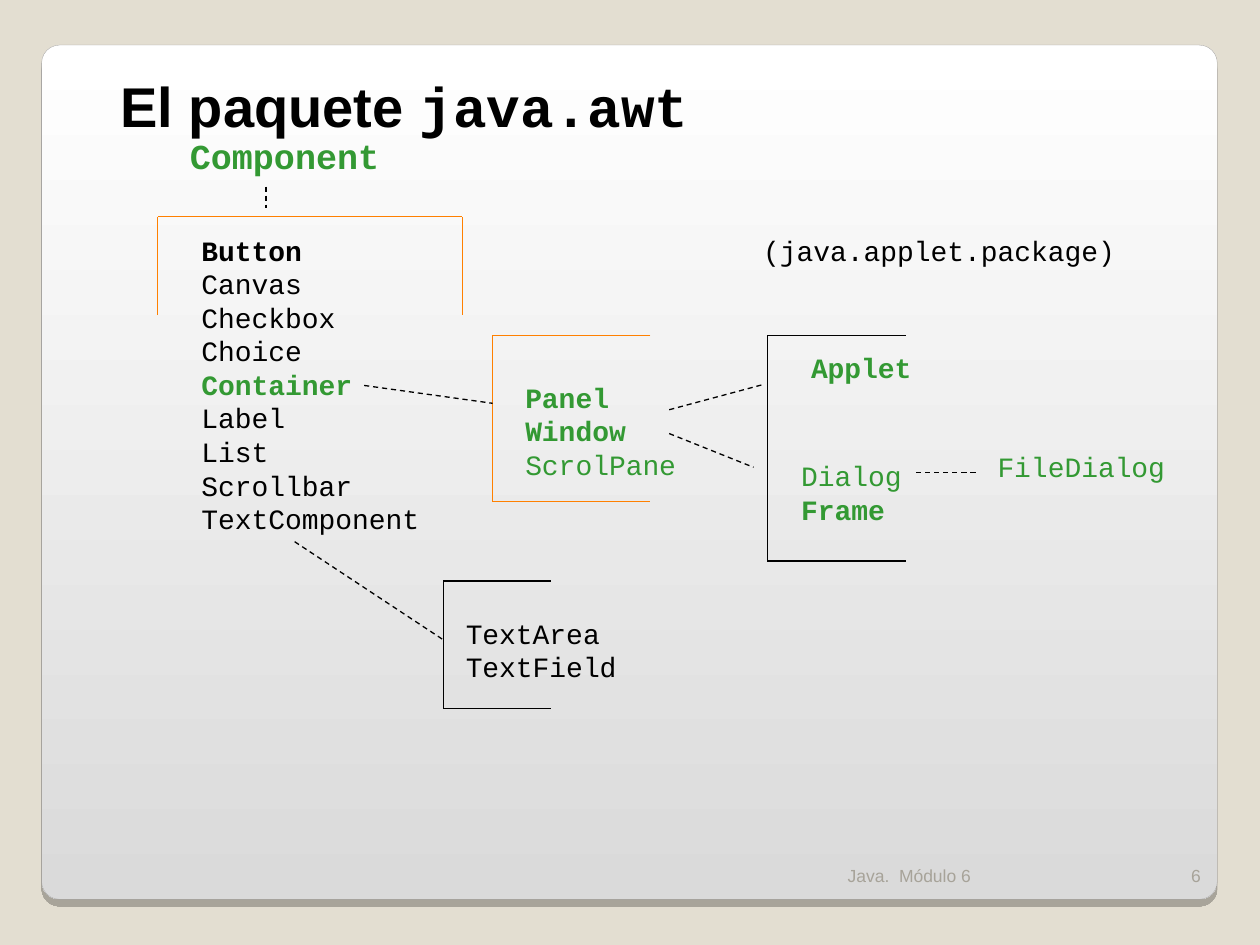
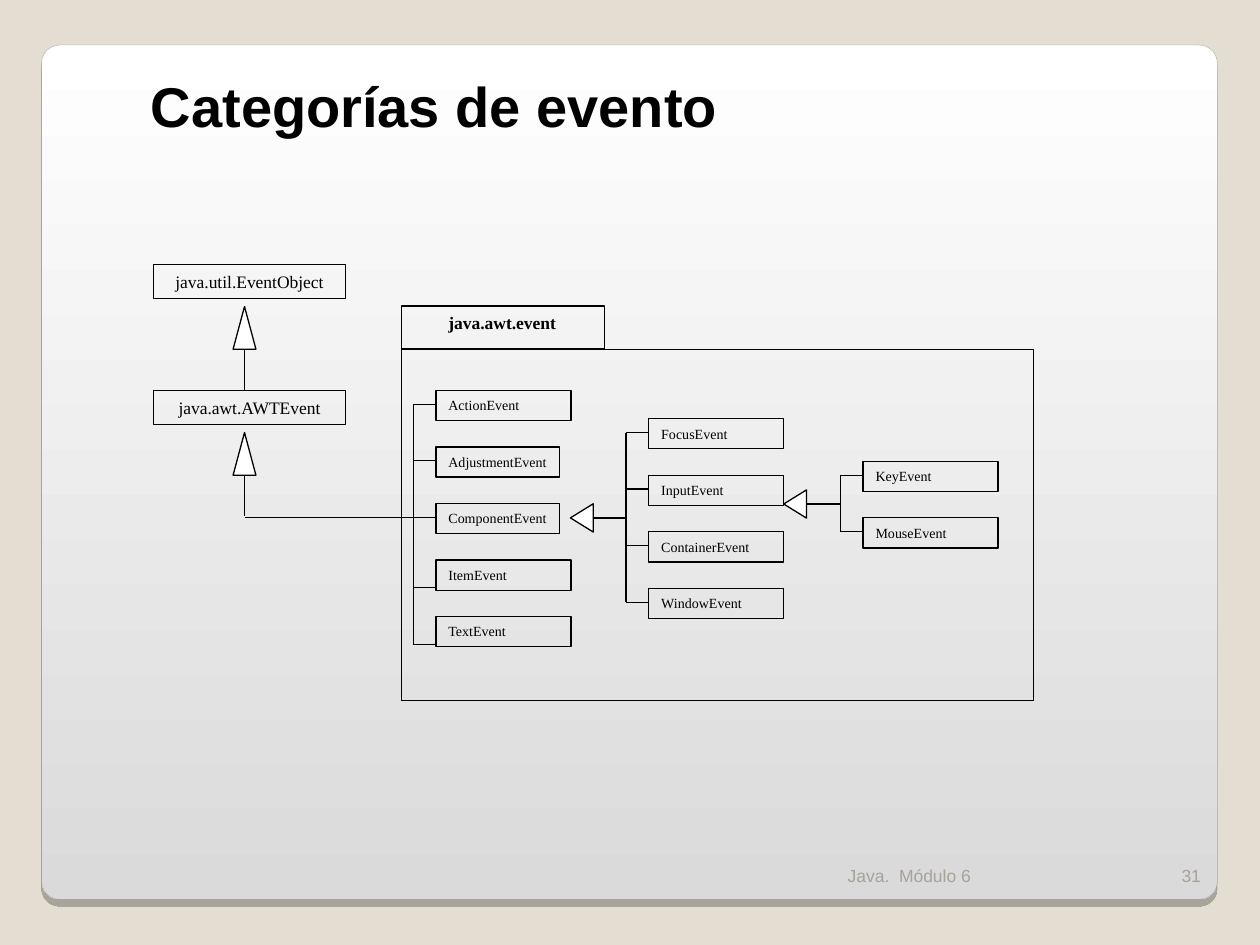
from dataclasses import dataclass
from itertools import pairwise

from lxml import etree
from pptx import Presentation
from pptx.dml.color import RGBColor
from pptx.enum.dml import MSO_LINE_DASH_STYLE as Dash
from pptx.enum.shapes import MSO_CONNECTOR as Connector, MSO_SHAPE as Shape
from pptx.enum.text import MSO_ANCHOR as Anchor, MSO_AUTO_SIZE as AutoSize, PP_ALIGN as Align
from pptx.oxml.ns import qn
from pptx.util import Cm, Pt


@dataclass(frozen=True)
class Theme:
    sand: str = "E3DED1"
    card_top: str = "FFFFFF"
    card_bottom: str = "DADADA"
    card_edge: str = "A4A3A3"
    muted: str = "A7A399"
    ink: str = "000000"
    green: str = "339933"
    orange: str = "FF8000"
    sans: str = "Arial"
    mono: str = "Courier New"
    serif: str = "Times New Roman"
    title_size: float = 32
    root_size: float = 20
    code_size: float = 16
    small_size: float = 10
    event_size: float = 8
    line_width: float = 0.75


THEME = Theme()
EVENT_HEIGHT, EVENT_PITCH, TRUNK_GAP = 0.61, 1.14, 0.46
HEAD_WIDTH = 0.46


def rgb(color):
    return RGBColor.from_string(color)


def cm(*lengths):
    return [Cm(length) for length in lengths]


# Text
def add_run(paragraph, text, font, size, color=THEME.ink, bold=False):
    run = paragraph.add_run()
    run.text = text
    run.font.name, run.font.size, run.font.bold = font, Pt(size), bold
    run.font.color.rgb = rgb(color)


def prepare_frame(shape, wrap=True, anchor=Anchor.TOP):
    frame = shape.text_frame
    frame.auto_size = AutoSize.NONE
    frame.word_wrap = wrap
    frame.vertical_anchor = anchor
    frame.margin_left = frame.margin_right = Cm(0.25)
    frame.margin_top = frame.margin_bottom = Cm(0.13)
    return frame


def add_label(slide, box, text, font, size, color=THEME.ink, bold=False,
              align=Align.LEFT, anchor=Anchor.TOP):
    frame = prepare_frame(slide.shapes.add_textbox(*cm(*box)), False, anchor)
    paragraph = frame.paragraphs[0]
    paragraph.alignment = align
    add_run(paragraph, text, font, size, color, bold)


def add_classes(slide, box, entries, size=THEME.code_size, align=Align.LEFT):
    """Lists class names; each entry is (name, color, bold)."""
    frame = prepare_frame(slide.shapes.add_textbox(*cm(*box)), False)
    for index, (name, color, bold) in enumerate(entries):
        paragraph = frame.add_paragraph() if index else frame.paragraphs[0]
        paragraph.alignment = align
        paragraph.line_spacing = Pt(size * 1.2)
        add_run(paragraph, name, THEME.mono, size, color, bold)


# Lines and outlined shapes
def add_lines(slide, points, color=THEME.ink, dashed=False):
    for start, end in pairwise(points):
        line = slide.shapes.add_connector(Connector.STRAIGHT, *cm(*start, *end))
        line.line.color.rgb = rgb(color)
        line.line.width = Pt(THEME.line_width)
        if dashed:
            line.line.dash_style = Dash.DASH
        etree.SubElement(line._element.spPr, qn("a:effectLst"))


def add_outline(slide, box, kind=Shape.RECTANGLE, fill=None):
    shape = slide.shapes.add_shape(kind, *cm(*box))
    shape.shadow.inherit = False
    if fill:
        shape.fill.solid()
        shape.fill.fore_color.rgb = rgb(fill)
    else:
        shape.fill.background()
    shape.line.color.rgb = rgb(THEME.ink)
    shape.line.width = Pt(THEME.line_width)
    return shape


def add_class_box(slide, box, name, size, align=Align.LEFT, wrap=True):
    paragraph = prepare_frame(add_outline(slide, box), wrap).paragraphs[0]
    paragraph.alignment = align
    add_run(paragraph, name, THEME.serif, size)


# Shared frame of the slides
def add_card(presentation, layout):
    """Sets the background and puts the shaded card on the layout."""
    background = presentation.slide_master.background.fill
    background.solid()
    background.fore_color.rgb = rgb(THEME.sand)

    slide = presentation.slides[0]
    card = slide.shapes.add_shape(Shape.ROUNDED_RECTANGLE, *cm(0.84, 0.91, 23.7, 17.22))
    card.adjustments[0] = 0.021
    card.fill.gradient()
    card.fill.gradient_angle = 270
    for stop, color in zip(card.fill.gradient_stops, (THEME.card_top, THEME.card_bottom)):
        stop.color.rgb = rgb(color)
    card.line.color.rgb = rgb(THEME.card_edge)
    card.line.width = Pt(0.17)

    card.shadow.inherit = False
    effects = card._element.spPr.find(qn("a:effectLst"))
    shadow = etree.SubElement(effects, qn("a:outerShdw"), blurRad="0",
                              dist=str(Pt(4)), dir="5400000", algn="t", rotWithShape="0")
    shade = etree.SubElement(shadow, qn("a:srgbClr"), val=THEME.ink)
    etree.SubElement(shade, qn("a:alpha"), val="25000")
    layout.shapes._spTree.insert(2, card._element)


def add_title(slide, left, parts):
    """Fills the title; each part is (text, font)."""
    title = slide.shapes.title
    title.left, title.top, title.width, title.height = cm(left, 1.31, 14.3, 1.63)
    paragraph = prepare_frame(title).paragraphs[0]
    paragraph.alignment = Align.LEFT
    for text, font in parts:
        add_run(paragraph, text, font, THEME.title_size, bold=True)


def add_footer(slide, number):
    for left, width, text, align in ((16.84, 6.35, "Java.  Módulo 6", Align.LEFT),
                                     (23.19, 1.27, number, Align.RIGHT)):
        add_label(slide, (left, 16.97, width, 1.02), text, THEME.sans, THEME.small_size,
                  THEME.muted, align=align, anchor=Anchor.BOTTOM)


# Regions of the java.awt hierarchy
def add_side_bracket(slide, box, color=THEME.ink):
    left, top, width, height = box
    right, bottom = left + width, top + height
    add_lines(slide, [(right, top), (left, top), (left, bottom), (right, bottom)], color)


def add_component_branch(slide, left, top):
    add_classes(slide, (left + 0.4, top, 4.32, 1.96),
                [("Component", THEME.green, True)], THEME.root_size)
    add_lines(slide, [(left + 2.18, top + 1.17), (left + 2.18, top + 1.6)], dashed=True)
    right, bar, bottom = left + 6.14, top + 1.78, top + 3.76
    add_lines(slide, [(left, bottom), (left, bar), (right, bar), (right, bottom)], THEME.orange)
    names = ("Button", "Canvas", "Checkbox", "Choice", "Container",
             "Label", "List", "Scrollbar", "TextComponent")
    add_classes(slide, (left + 0.63, top + 1.98, 4.9, 6.35),
                [(name, THEME.green if name == "Container" else THEME.ink,
                  name in ("Button", "Container")) for name in names])


def add_container_branch(slide, left, top):
    add_side_bracket(slide, (left, top, 3.18, 3.35), THEME.orange)
    add_classes(slide, (left + 0.41, top + 0.78, 3.53, 2.29),
                [("Panel", THEME.green, True), ("Window", THEME.green, True),
                 ("ScrolPane", THEME.green, False)])


def add_text_branch(slide, left, top):
    add_side_bracket(slide, (left, top, 2.16, 2.57))
    add_classes(slide, (left + 0.2, top + 0.58, 3.53, 1.63),
                [("TextArea", THEME.ink, False), ("TextField", THEME.ink, False)])


def add_window_branch(slide, left, top):
    add_side_bracket(slide, (left, top, 2.79, 4.55))
    add_classes(slide, (left + 0.63, top + 0.17, 2.54, 0.94), [("Applet", THEME.green, True)])
    add_classes(slide, (left + 0.43, top + 2.36, 2.54, 1.63),
                [("Dialog", THEME.green, False), ("Frame", THEME.green, True)])
    add_classes(slide, (left + 4.39, top + 2.18, 3.89, 0.94),
                [("FileDialog", THEME.green, False)])
    add_classes(slide, (left - 0.33, top - 2.19, 7.59, 0.94),
                [("(java.applet.package)", THEME.ink, False)], align=Align.RIGHT)


def build_awt_slide(slide):
    add_title(slide, 2.18, [("El paquete ", THEME.sans), ("java.awt", THEME.mono)])
    add_component_branch(slide, 3.18, 2.59)
    add_container_branch(slide, 9.93, 6.76)
    add_text_branch(slide, 8.94, 11.71)
    add_window_branch(slide, 15.47, 6.76)
    # Dashed links between the branches
    for link in ([(5.94, 10.92), (8.94, 12.9)], [(7.34, 7.77), (9.93, 8.13)],
                 [(13.49, 8.26), (15.39, 7.75)], [(13.49, 8.74), (15.19, 9.42)],
                 [(18.47, 9.53), (19.74, 9.53)]):
        add_lines(slide, link, dashed=True)
    add_footer(slide, "6")


# Regions of the event diagram
def add_up_arrow(slide, x, tip, end):
    head = 0.86
    add_outline(slide, (x - HEAD_WIDTH / 2, tip, HEAD_WIDTH, head),
                Shape.ISOSCELES_TRIANGLE, THEME.card_top)
    add_lines(slide, [(x, tip + head), (x, end)])


def add_left_arrow(slide, tip, y, end):
    base = 0.57
    box = (tip + (HEAD_WIDTH - base) / 2, y - HEAD_WIDTH / 2, base, HEAD_WIDTH)
    add_outline(slide, box, Shape.ISOSCELES_TRIANGLE, THEME.card_top).rotation = 270
    add_lines(slide, [(tip + HEAD_WIDTH, y), (end, y)])


def add_event_column(slide, left, top, names, narrow=(), low=()):
    """Stacks event boxes and joins them to a trunk; low ones are joined lower."""
    trunk = left - TRUNK_GAP
    joints = []
    for index, name in enumerate(names):
        box_top = top + index * EVENT_PITCH
        is_narrow = name in narrow
        add_class_box(slide, (left, box_top, 2.49 if is_narrow else 2.72, EVENT_HEIGHT),
                      name, THEME.event_size, wrap=not is_narrow)
        joint = box_top + (0.56 if name in low else 0.28)
        add_lines(slide, [(trunk, joint), (left, joint)])
        joints.append(joint)
    add_lines(slide, [(trunk, joints[0]), (trunk, joints[-1])])


def add_event_package(slide, left, top):
    tab = 0.87
    add_outline(slide, (left, top + tab, 12.73, 7.09))
    add_outline(slide, (left, top, 4.09, tab))
    add_label(slide, (left + 0.69, top, 2.67, 0.69), "java.awt.event",
              THEME.serif, THEME.small_size, bold=True)
    add_event_column(slide, left + 0.69, top + 1.7,
                     ("ActionEvent", "AdjustmentEvent", "ComponentEvent",
                      "ItemEvent", "TextEvent"),
                     narrow=("AdjustmentEvent", "ComponentEvent"),
                     low=("ItemEvent", "TextEvent"))
    add_event_column(slide, left + 4.98, top + 2.27,
                     ("FocusEvent", "InputEvent", "ContainerEvent", "WindowEvent"))
    add_event_column(slide, left + 9.3, top + 3.13, ("KeyEvent", "MouseEvent"))
    add_left_arrow(slide, left + 3.4, top + 4.27, left + 4.52)
    add_left_arrow(slide, left + 7.7, top + 3.99, left + 8.84)


def add_base_classes(slide, left, top):
    middle = left + 1.83
    for index, name in enumerate(("java.util.EventObject", "java.awt.AWTEvent")):
        box_top = top + index * 2.54
        add_class_box(slide, (left, box_top, 3.86, 0.69), name, THEME.small_size, Align.CENTER)
        add_up_arrow(slide, middle, box_top + 0.85, box_top + 2.54)
    # Link from the package to the base class
    add_lines(slide, [(middle, top + 5.1), (left + 5.23, top + 5.1)])


def build_events_slide(slide):
    add_title(slide, 2.79, [("Categorías de evento", THEME.sans)])
    add_event_package(slide, 8.1, 6.17)
    add_base_classes(slide, 3.1, 5.33)
    add_footer(slide, "31")


def main():
    presentation = Presentation()
    presentation.slide_width, presentation.slide_height = cm(25.4, 19.05)
    layout = presentation.slide_layouts[5]
    slides = [presentation.slides.add_slide(layout) for _ in range(2)]
    add_card(presentation, layout)
    for slide, build in zip(slides, (build_awt_slide, build_events_slide)):
        build(slide)
    presentation.save("out.pptx")


if __name__ == "__main__":
    main()
